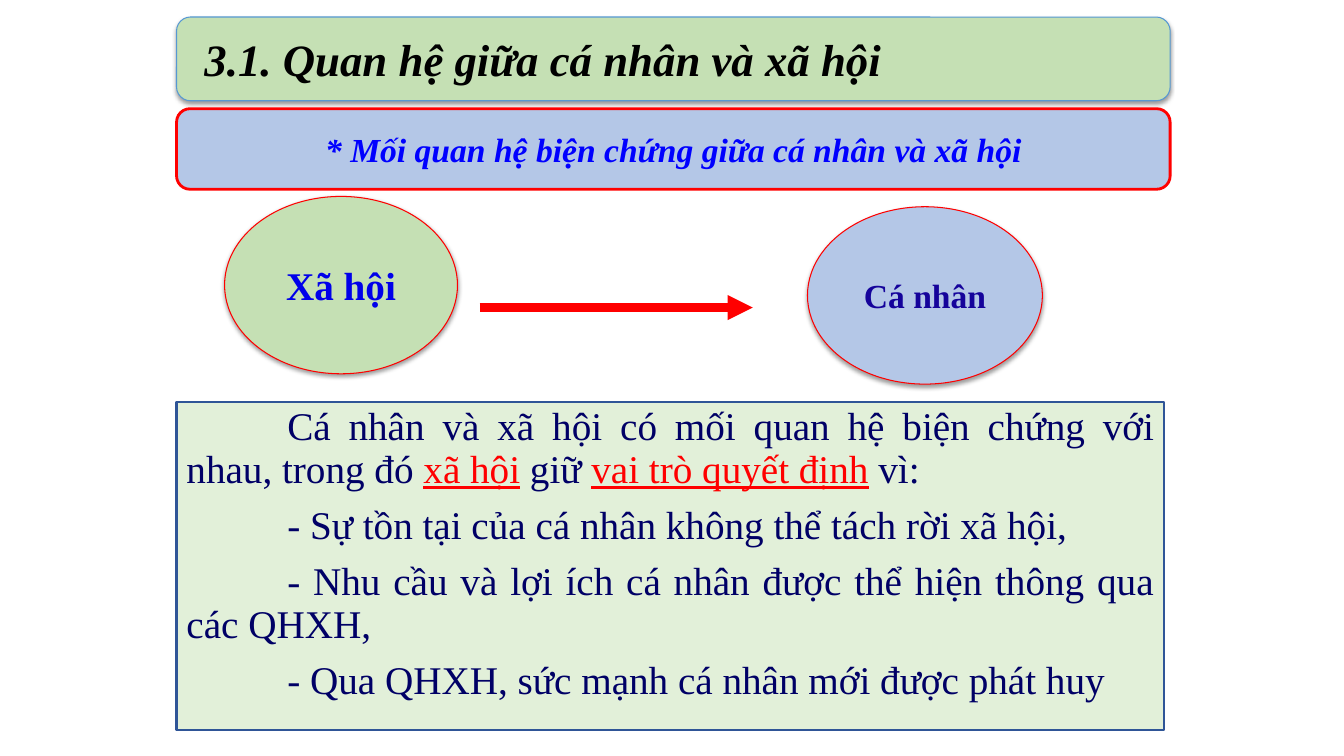
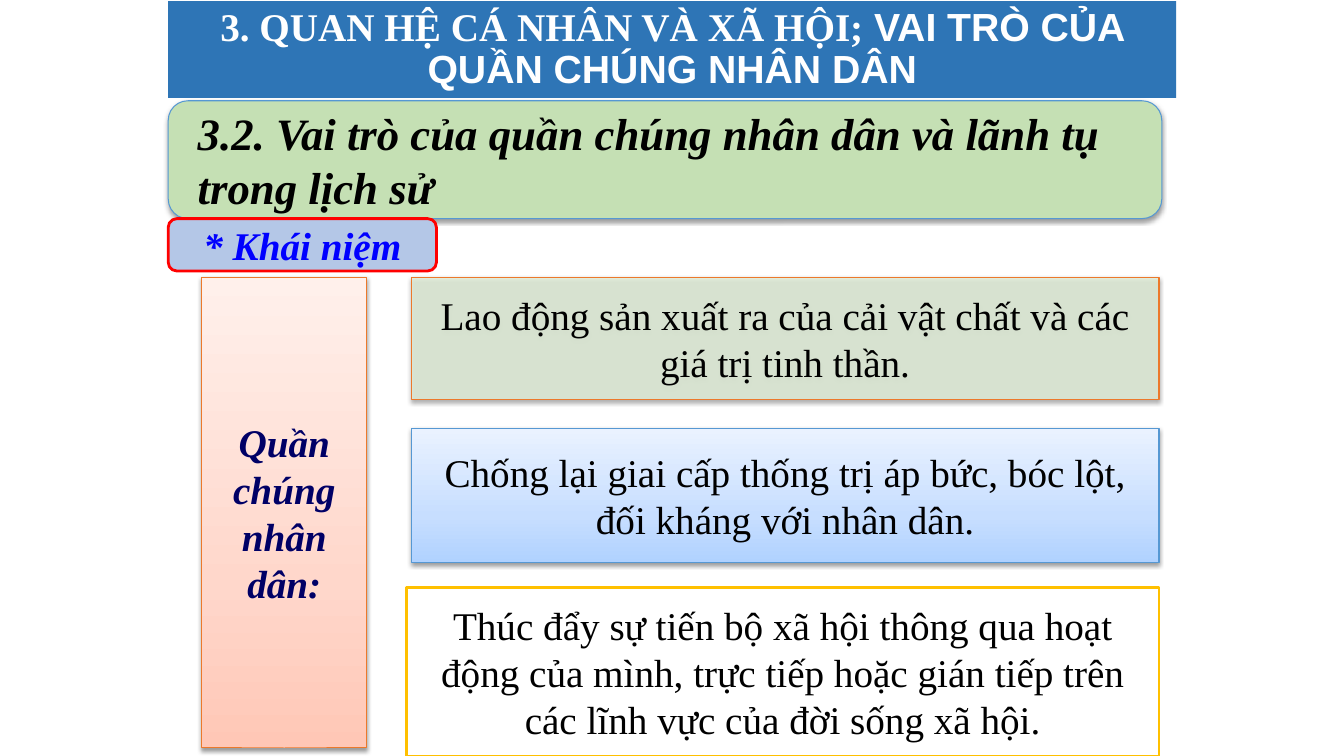
import copy

import pptx
import pptx.dml.color
import pptx.enum.shapes
import pptx.enum.text
import pptx.oxml
import pptx.oxml.ns
import pptx.util
from pptx.util import Cm

SHAPE = pptx.enum.shapes.MSO_SHAPE
ALIGN = pptx.enum.text.PP_ALIGN
RGB = pptx.dml.color.RGBColor.from_string
FONT = "Times New Roman"
COLORS = {
    "green": "C5E0B4", "pale green": "E2F0D9", "lilac": "B4C7E7",
    "title blue": "2E75B6", "edge blue": "5698D3", "frame blue": "2F5597",
    "red": "FF0000", "orange": "EC792B", "gold": "FFC000",
    "white": "FFFFFF", "black": "000000", "navy": "000066",
    "bright blue": "0000FF", "deep blue": "0000EA", "indigo": "15039B",
}
# Gradients run from bottom to top, with stops at 0, 35 and 100 %
GRADIENTS = {
    "sky": ("B0D2FF", "C7DEFF", "EAF2FF"),
    "peach": ("FFC7B6", "FFD7CB", "FFF0EB"),
}
SHADOW = (
    '<a:outerShdw xmlns:a="http://schemas.openxmlformats.org/drawingml/2006/main"'
    ' blurRad="39370" dist="20320" dir="5400000" rotWithShape="0">'
    '<a:srgbClr val="000000"><a:alpha val="38000"/></a:srgbClr></a:outerShdw>'
)


def add_box(slide, kind, at, fill, line=None, width=0.75, shadow=False):
    """Add a filled, outlined shape with its text centred vertically."""
    box = slide.shapes.add_shape(kind, *(Cm(length) for length in at))
    if fill in GRADIENTS:
        box.fill.gradient()
        box.fill.gradient_angle = 90
        first_stop = box.element.spPr.find(".//" + pptx.oxml.ns.qn("a:gs"))
        first_stop.addnext(copy.deepcopy(first_stop))
        stops = zip(box.fill.gradient_stops, (0, 0.35, 1), GRADIENTS[fill])
        for stop, position, color in stops:
            stop.position = position
            stop.color.rgb = RGB(color)
    else:
        box.fill.solid()
        box.fill.fore_color.rgb = RGB(COLORS[fill])
    if line:
        box.line.color.rgb = RGB(COLORS[line])
        box.line.width = pptx.util.Pt(width)
    else:
        box.line.fill.background()
    box.shadow.inherit = False
    if shadow:
        effects = box.element.spPr.find(pptx.oxml.ns.qn("a:effectLst"))
        effects.append(pptx.oxml.parse_xml(SHADOW))
    box.text_frame.word_wrap = True
    box.text_frame.vertical_anchor = pptx.enum.text.MSO_ANCHOR.MIDDLE
    return box


def style(paragraph, size, color, bold=False, italic=False, align=ALIGN.CENTER):
    """Set the alignment and font of a paragraph."""
    paragraph.alignment = align
    font = paragraph.font
    font.name, font.size = FONT, pptx.util.Pt(size)
    font.bold, font.italic = bold, italic
    font.color.rgb = RGB(COLORS[color])


deck = pptx.Presentation()
deck.slide_width, deck.slide_height = Cm(33.87), Cm(19.05)
society, masses = (deck.slides.add_slide(deck.slide_layouts[6]) for _ in range(2))

# Section headings and subheadings of both slides
for slide, at, heading in (
    (society, (4.45, 0.43, 25.04, 2.11), "3.1. Quan hệ giữa cá nhân và xã hội"),
    (masses, (4.24, 2.54, 25.04, 2.97),
     "3.2. Vai trò của quần chúng nhân dân và lãnh tụ trong lịch sử"),
):
    band = add_box(slide, SHAPE.ROUNDED_RECTANGLE, at, "green", "edge blue", shadow=True)
    frame = band.text_frame
    frame.margin_left = frame.margin_right = Cm(0.6)
    frame.margin_top = frame.margin_bottom = 0
    frame.text = heading
    style(frame.paragraphs[0], 32, "black", True, True, ALIGN.LEFT)

for slide, at, subheading, size in (
    (society, (4.45, 2.74, 25.04, 2.03),
     "* Mối quan hệ biện chứng giữa cá nhân và xã hội", 24),
    (masses, (4.24, 5.51, 6.76, 1.32), "* Khái niệm", 28),
):
    tag = add_box(slide, SHAPE.ROUNDED_RECTANGLE, at, "lilac", "red", 2)
    tag.text_frame.text = subheading
    style(tag.text_frame.paragraphs[0], size, "bright blue", True, True)

# Slide 1: society acts on the individual
for at, fill, party, size, color in (
    ((5.66, 4.95, 5.87, 4.47), "green", "Xã hội", 28, "deep blue"),
    ((20.35, 5.21, 5.92, 4.47), "lilac", "Cá nhân", 24, "indigo"),
):
    circle = add_box(society, SHAPE.OVAL, at, fill, "red", shadow=True)
    circle.text_frame.text = party
    style(circle.text_frame.paragraphs[0], size, color, True)

arrow = society.shapes.add_connector(
    pptx.enum.shapes.MSO_CONNECTOR.STRAIGHT, Cm(12.09), Cm(7.75), Cm(18.97), Cm(7.75))
arrow.line.color.rgb = RGB(COLORS["red"])
arrow.line.width = pptx.util.Pt(6)
arrow_line = arrow.line._get_or_add_ln()
arrow_line.append(pptx.oxml.parse_xml(
    '<a:tailEnd xmlns:a="http://schemas.openxmlformats.org/drawingml/2006/main"'
    ' type="triangle"/>'))
arrow.element.spPr.append(pptx.oxml.parse_xml(
    '<a:effectLst xmlns:a="http://schemas.openxmlformats.org/drawingml/2006/main"/>'))

# Slide 1: reasons; every second run of a paragraph is a key term
reasons = (
    ("Cá nhân và xã hội có mối quan hệ biện chứng với nhau, trong đó ", "xã hội",
     " giữ ", "vai trò quyết định", " vì:"),
    ("- Sự tồn tại của cá nhân không thể tách rời xã hội,",),
    ("- Nhu cầu và lợi ích cá nhân được thể hiện thông qua các QHXH,",),
    ("- Qua QHXH, sức mạnh cá nhân mới được phát huy",),
)
panel = add_box(society, SHAPE.RECTANGLE, (4.45, 10.13, 24.89, 8.26),
                "pale green", "frame blue", 1.5)
panel.text_frame.vertical_anchor = pptx.enum.text.MSO_ANCHOR.TOP
for number, parts in enumerate(reasons):
    frame = panel.text_frame
    reason = frame.add_paragraph() if number else frame.paragraphs[0]
    style(reason, 28, "navy", align=ALIGN.JUSTIFY)
    reason.line_spacing = 0.9
    reason.space_before = pptx.util.Pt(10)
    reason._p.get_or_add_pPr().set("indent", str(Cm(2.54)))
    for position, part in enumerate(parts):
        run = reason.add_run()
        run.text = part
        if position % 2:
            run.font.color.rgb = RGB(COLORS["red"])
            run.font.underline = True

# Slide 2: chapter title in two fonts
title = add_box(masses, SHAPE.RECTANGLE, (4.24, 0.03, 25.4, 2.44), "title blue")
chapter = title.text_frame.paragraphs[0]
style(chapter, 28, "white", True)
chapter.line_spacing = 0.9
for part, font_name in (
    ("3. QUAN HỆ CÁ NHÂN VÀ XÃ HỘI;", FONT),
    (" VAI TRÒ CỦA QUẦN CHÚNG NHÂN DÂN", "Arial"),
):
    run = chapter.add_run()
    run.text = part
    run.font.name = font_name

# Slide 2: the concept and its three features
concept = add_box(masses, SHAPE.RECTANGLE, (5.08, 6.99, 4.17, 11.86),
                  "peach", "orange", shadow=True)
concept.text_frame.text = "Quần chúng nhân dân:"
style(concept.text_frame.paragraphs[0], 28, "navy", True, True)
concept.text_frame.paragraphs[0].space_before = pptx.util.Pt(4)

for at, fill, line, width, shadow, feature in (
    ((10.36, 6.99, 18.85, 3.07), "pale green", "orange", 0.75, True,
     "Lao động sản xuất ra của cải vật chất và các giá trị tinh thần."),
    ((10.36, 10.8, 18.85, 3.38), "sky", "edge blue", 0.75, True,
     "Chống lại giai cấp thống trị áp bức, bóc lột, đối kháng với nhân dân."),
    ((10.24, 14.81, 18.97, 4.24), "white", "gold", 2, False,
     "Thúc đẩy sự tiến bộ xã hội thông qua hoạt động của mình, trực tiếp hoặc "
     "gián tiếp trên các lĩnh vực của đời sống xã hội."),
):
    card = add_box(masses, SHAPE.RECTANGLE, at, fill, line, width, shadow)
    card.text_frame.text = feature
    style(card.text_frame.paragraphs[0], 28, "black")
    if fill == "pale green":
        tint = card.element.spPr.find(
            pptx.oxml.ns.qn("a:solidFill") + "/" + pptx.oxml.ns.qn("a:srgbClr"))
        tint.append(pptx.oxml.parse_xml(
            '<a:alpha xmlns:a="http://schemas.openxmlformats.org/drawingml/2006/main"'
            ' val="79000"/>'))

deck.save("out.pptx")
